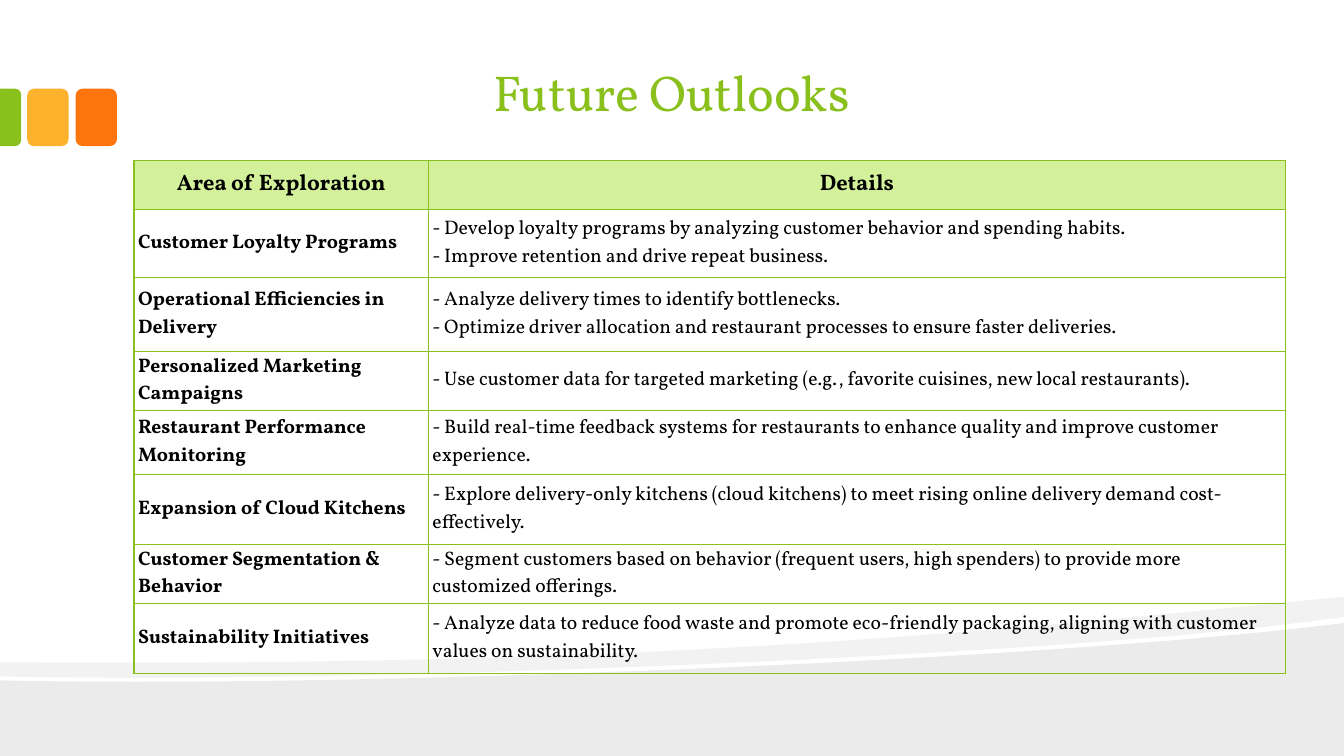
"""Build the Future Outlooks slide: a table over grey waves with colour tabs."""
from dataclasses import dataclass

from lxml import etree
from pptx import Presentation
from pptx import util as u
from pptx.dml.color import RGBColor
from pptx.enum import shapes, text
from pptx.oxml.ns import qn


@dataclass(frozen=True)
class Theme:
    """Colours, font and type sizes of the slide."""
    font: str = "Vollkorn"
    green: str = "89C01C"
    amber: str = "FCB22C"
    orange: str = "FE750E"
    header: str = "D3F09A"
    ink: str = "000000"
    title_size: int = 36
    header_size: int = 16
    body_size: int = 14


THEME = Theme()
COLUMNS = [2.92, 8.5]
ROW_HEIGHTS = [0.49, 0.67, 0.74, 0.58, 0.64, 0.69, 0.59, 0.69]
ROWS = [
    ("Area of Exploration", "Details"),
    ("Customer Loyalty Programs",
     "- Develop loyalty programs by analyzing customer behavior and spending habits.\v"
     "- Improve retention and drive repeat business."),
    ("Operational Efficiencies in Delivery",
     "- Analyze delivery times to identify bottlenecks.\v"
     "- Optimize driver allocation and restaurant processes to ensure faster deliveries."),
    ("Personalized Marketing Campaigns",
     "- Use customer data for targeted marketing (e.g., favorite cuisines, new local restaurants)."),
    ("Restaurant Performance Monitoring",
     "- Build real-time feedback systems for restaurants to enhance quality "
     "and improve customer experience."),
    ("Expansion of Cloud Kitchens",
     "- Explore delivery-only kitchens (cloud kitchens) to meet rising online "
     "delivery demand cost-effectively."),
    ("Customer Segmentation & Behavior",
     "- Segment customers based on behavior (frequent users, high spenders) "
     "to provide more customized offerings."),
    ("Sustainability Initiatives",
     "- Analyze data to reduce food waste and promote eco-friendly packaging, "
     "aligning with customer values on sustainability."),
]
GROUND = [[(13.33, 6.18)], [(13.33, 7.5)], [(0, 7.5)], [(0, 6.75)],
          [(3.52, 6.83), (10.42, 6.55), (13.33, 6.18)]]
BAND = [[(13.33, 5.92)], [(13.33, 6.12)],
        [(12.55, 6.23), (11.49, 6.33), (10.29, 6.41)],
        [(6.98, 6.63), (2.58, 6.77), (0, 6.71)], [(0, 6.57)],
        [(6.52, 6.62), (9.71, 6.27), (13.33, 5.92)]]


def set_format(target, values):
    """Set each attribute of target from a dict."""
    for name, value in values.items():
        setattr(target, name, value)


def write_text(frame, words, size, color, bold=False, align=text.PP_ALIGN.LEFT):
    """Write words into a frame as one paragraph."""
    frame.text = words
    para = frame.paragraphs[0]
    para.alignment = align
    for span in para.runs:
        set_format(span.font, {"name": THEME.font, "size": u.Pt(size), "bold": bold})
        span.font.color.rgb = RGBColor.from_string(color)
    for line_break in para._p.findall(qn("a:br")):
        props = etree.SubElement(line_break, qn("a:rPr"), sz=str(size * 100))
        etree.SubElement(props, qn("a:latin"), typeface=THEME.font)


def paint(shape, color, alpha=None):
    """Give a shape a plain fill, without line or shadow."""
    shape.shadow.inherit = False
    shape.line.fill.background()
    shape.fill.solid()
    shape.fill.fore_color.rgb = RGBColor.from_string(color)
    if alpha is not None:
        tint = shape.fill._xPr.find(qn("a:solidFill"))[0]
        etree.SubElement(tint, qn("a:alpha"), val=str(alpha * 1000))


def add_wave(page, segments, alpha):
    """Add a translucent outline of lines and, where controls are given, curves."""
    ends = [tuple(map(u.Inches, segment[-1])) for segment in segments]
    builder = page.shapes.build_freeform(*ends[0])
    builder.add_line_segments(ends[1:], close=True)
    wave = builder.convert_to_shape()
    lines = list(wave._element.iter(qn("a:lnTo")))
    for line, segment in zip(lines, segments[1:]):
        if len(segment) == 3:
            bend = etree.Element(qn("a:cubicBezTo"))
            for x, y in segment:
                etree.SubElement(bend, qn("a:pt"), x=str(u.Inches(x) - wave.left),
                                 y=str(u.Inches(y) - wave.top))
            line.getparent().replace(line, bend)
    paint(wave, THEME.ink, alpha)


def add_tab(page, kind, place, color, rotation=0):
    """Add one coloured tab and return it."""
    tab = page.shapes.add_shape(kind, *map(u.Inches, place))
    tab.rotation = rotation
    paint(tab, color)
    return tab


def add_title(page, words):
    """Add the centred slide title."""
    frame = page.shapes.add_textbox(*map(u.Inches, (1.33, 0.36, 10.66, 0.92))).text_frame
    set_format(frame, {"word_wrap": True, "vertical_anchor": text.MSO_ANCHOR.BOTTOM,
                       "margin_left": u.Inches(0.13), "margin_right": u.Inches(0.13),
                       "margin_top": u.Inches(0.07), "margin_bottom": u.Inches(0.07)})
    write_text(frame, words, THEME.title_size, THEME.green, align=text.PP_ALIGN.CENTER)


def add_borders(cell, color):
    """Draw a one-point line on all four sides of a cell."""
    props = cell._tc.get_or_add_tcPr()
    for index, side in enumerate(("a:lnL", "a:lnR", "a:lnT", "a:lnB")):
        line = etree.Element(qn(side), w=str(u.Pt(1)))
        fill = etree.SubElement(line, qn("a:solidFill"))
        etree.SubElement(fill, qn("a:srgbClr"), val=color)
        props.insert(index, line)


def add_outlook_table(page):
    """Add the table of areas and their details."""
    place = (1.33, 1.59, sum(COLUMNS), sum(ROW_HEIGHTS))
    table = page.shapes.add_table(len(ROWS), len(COLUMNS), *map(u.Inches, place)).table
    set_format(table, {"first_row": False, "horz_banding": False})
    for column, width in zip(table.columns, COLUMNS):
        column.width = u.Inches(width)
    for row_index, (row, height) in enumerate(zip(table.rows, ROW_HEIGHTS)):
        row.height = u.Inches(height)
        is_header = row_index == 0
        for column_index, cell in enumerate(row.cells):
            set_format(cell, {"vertical_anchor": text.MSO_ANCHOR.MIDDLE,
                              "margin_left": u.Inches(0.04), "margin_right": u.Inches(0.04),
                              "margin_top": u.Inches(0.02), "margin_bottom": u.Inches(0.02)})
            write_text(cell.text_frame, ROWS[row_index][column_index],
                       THEME.header_size if is_header else THEME.body_size, THEME.ink,
                       bold=is_header or column_index == 0,
                       align=text.PP_ALIGN.CENTER if is_header else text.PP_ALIGN.LEFT)
            if is_header:
                cell.fill.solid()
                cell.fill.fore_color.rgb = RGBColor.from_string(THEME.header)
            else:
                cell.fill.background()
            add_borders(cell, THEME.green)


def main():
    """Build and save the deck."""
    deck = Presentation()
    set_format(deck, {"slide_width": u.Inches(13.33), "slide_height": u.Inches(7.5)})
    page = deck.slides.add_slide(deck.slide_layouts[6])
    add_wave(page, GROUND, 8)
    add_wave(page, BAND, 5)
    kinds = shapes.MSO_SHAPE
    for left, color in ((0.75, THEME.orange), (0.27, THEME.amber)):
        add_tab(page, kinds.ROUNDED_RECTANGLE, (left, 0.88, 0.41, 0.57), color)
    edge_tab = add_tab(page, kinds.ROUND_2_SAME_RECTANGLE, (-0.18, 1.06, 0.57, 0.21),
                       THEME.green, rotation=90)
    edge_tab.adjustments[0] = 0.29
    add_title(page, "Future Outlooks")
    add_outlook_table(page)
    deck.save("out.pptx")


if __name__ == "__main__":
    main()
